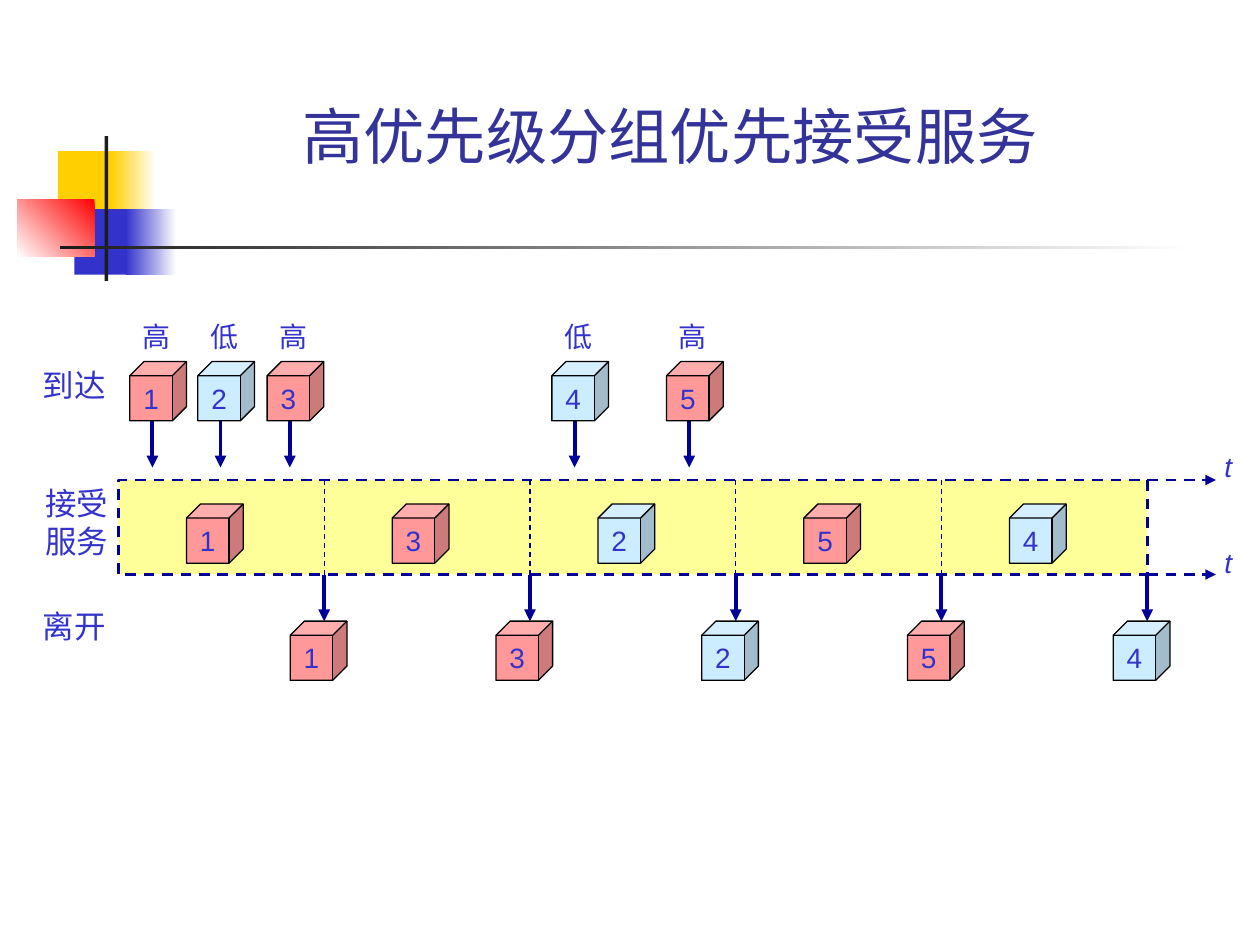
from lxml import etree
from pptx import Presentation
from pptx import util as u
from pptx.dml.color import RGBColor
from pptx.enum import dml, shapes, text
from pptx.oxml.ns import qn

YELLOW = RGBColor(0xFF, 0xCF, 0x01)
BLUE = RGBColor(0x33, 0x33, 0xCC)
RED = RGBColor(0xFF, 0x00, 0x00)
WHITE = RGBColor(0xFF, 0xFF, 0xFF)
BLACK = RGBColor(0x00, 0x00, 0x00)
CHARCOAL = RGBColor(0x1C, 0x1C, 0x1C)
TITLE_BLUE = RGBColor(0x33, 0x33, 0x99)
NAVY = RGBColor(0x00, 0x00, 0x99)
PALE_YELLOW = RGBColor(0xFF, 0xFF, 0x99)
HIGH_PINK = RGBColor(0xFF, 0x99, 0x99)
LOW_BLUE = RGBColor(0xCC, 0xEC, 0xFF)


def write(shape, content, size, color=BLUE, font="Arial", align=text.PP_ALIGN.LEFT, italic=False):
    frame = shape.text_frame
    frame.text = content
    frame.word_wrap = False
    for paragraph in frame.paragraphs:
        paragraph.alignment = align
        paragraph.font.name = font
        paragraph.font.size = u.Pt(size)
        paragraph.font.color.rgb = color
        paragraph.font.italic = italic
    return frame


def draw_line(x1, y1, x2, y2, width, dashed=False, arrow=False):
    connector = slide.shapes.add_connector(
        shapes.MSO_CONNECTOR.STRAIGHT, u.Inches(x1), u.Inches(y1), u.Inches(x2), u.Inches(y2))
    connector.line.color.rgb = NAVY
    connector.line.width = u.Pt(width)
    if dashed:
        connector.line.dash_style = dml.MSO_LINE.DASH
    if arrow:
        etree.SubElement(connector.line._get_or_add_ln(), qn("a:tailEnd"), type="triangle")
    etree.SubElement(connector._element.spPr, qn("a:effectLst"))


presentation = Presentation()
presentation.slide_width = u.Inches(10)
presentation.slide_height = u.Inches(7.5)
slide = presentation.slides.add_slide(presentation.slide_layouts[6])

decorations = [
    (0.46, 1.2, 0.48, 0.52, [YELLOW], 0),
    (0.88, 1.2, 0.36, 0.52, [WHITE, YELLOW], 180),
    (0.59, 1.66, 0.46, 0.52, [BLUE], 0),
    (1, 1.66, 0.4, 0.52, [WHITE, BLUE], 180),
    (0.14, 1.58, 0.61, 0.46, [RED, WHITE], 225),
    (0.83, 1.08, 0.03, 1.15, [CHARCOAL], 0),
    (0.48, 1.95, 9, 0.03, [WHITE, CHARCOAL], 180),
]
for left, top, width, height, colors, angle in decorations:
    block = slide.shapes.add_shape(
        shapes.MSO_SHAPE.RECTANGLE, u.Inches(left), u.Inches(top), u.Inches(width), u.Inches(height))
    block.shadow.inherit = False
    block.line.fill.background()
    if len(colors) == 1:
        block.fill.solid()
        block.fill.fore_color.rgb = colors[0]
    else:
        block.fill.gradient()
        block.fill.gradient_angle = angle
        for stop, color in zip(block.fill.gradient_stops, colors):
            stop.color.rgb = color

title = slide.shapes.add_textbox(u.Inches(1.06), u.Inches(-0.19), u.Inches(8.52), u.Inches(1.6))
title_frame = write(title, "高优先级分组优先接受服务", 35, TITLE_BLUE, "Noto Sans CJK SC", text.PP_ALIGN.CENTER)
title_frame.word_wrap = True
title_frame.vertical_anchor = text.MSO_ANCHOR.BOTTOM

AXIS_LEFT, AXIS_TOP, AXIS_BOTTOM = 0.94, 3.81, 4.56
SLOT = 1.633
SERVICE_ORDER = [1, 3, 2, 5, 4]
ARRIVALS = {1: 1.03, 2: 1.57, 3: 2.12, 4: 4.38, 5: 5.29}
LOW_PRIORITY = {2, 4}

band = slide.shapes.add_shape(
    shapes.MSO_SHAPE.RECTANGLE, u.Inches(AXIS_LEFT), u.Inches(AXIS_TOP),
    u.Inches(5 * SLOT), u.Inches(AXIS_BOTTOM - AXIS_TOP))
band.shadow.inherit = False
band.fill.solid()
band.fill.fore_color.rgb = PALE_YELLOW
band.line.color.rgb = NAVY
band.line.width = u.Pt(1.5)
band.line.dash_style = dml.MSO_LINE.DASH

labels = [
    (0.24, 2.86, 0.7, 0.4, "到达", 18, False),
    (0.26, 3.79, 0.7, 0.7, "接受\n服务", 18, False),
    (0.24, 4.77, 0.7, 0.4, "离开", 18, False),
    (9.62, 3.52, 0.26, 0.37, "t", 16, True),
    (9.62, 4.28, 0.26, 0.37, "t", 16, True),
]
cubes = []

for packet, left in ARRIVALS.items():
    priority = "低" if packet in LOW_PRIORITY else "高"
    labels.append((left, 2.49, 0.42, 0.37, priority, 16, False))
    cubes.append((packet, left, 2.87))
    draw_line(left + 0.18, 3.34, left + 0.18, 3.71, 2.25, arrow=True)

for index, packet in enumerate(SERVICE_ORDER):
    slot_left = AXIS_LEFT + index * SLOT
    slot_end = slot_left + SLOT
    cubes.append((packet, slot_left + 0.54, 4))
    cubes.append((packet, slot_end - 0.27, 4.93))
    if packet != SERVICE_ORDER[-1]:
        draw_line(slot_end, AXIS_TOP, slot_end, AXIS_BOTTOM, 0.75, dashed=True)
    draw_line(slot_end, AXIS_BOTTOM, slot_end, 4.93, 2.25, arrow=True)

for packet, left, top in cubes:
    cube = slide.shapes.add_shape(
        shapes.MSO_SHAPE.CUBE, u.Inches(left), u.Inches(top), u.Inches(0.45), u.Inches(0.47))
    cube.shadow.inherit = False
    cube.fill.solid()
    cube.fill.fore_color.rgb = LOW_BLUE if packet in LOW_PRIORITY else HIGH_PINK
    cube.line.color.rgb = BLACK
    cube.line.width = u.Pt(0.75)
    write(cube, str(packet), 16, align=text.PP_ALIGN.CENTER).vertical_anchor = text.MSO_ANCHOR.MIDDLE

for axis in (AXIS_TOP, AXIS_BOTTOM):
    draw_line(AXIS_LEFT + 5 * SLOT, axis, 9.65, axis, 1.5, dashed=True, arrow=True)

for left, top, width, height, content, size, italic in labels:
    label = slide.shapes.add_textbox(u.Inches(left), u.Inches(top), u.Inches(width), u.Inches(height))
    write(label, content, size, italic=italic).auto_size = text.MSO_AUTO_SIZE.SHAPE_TO_FIT_TEXT

presentation.save("out.pptx")
